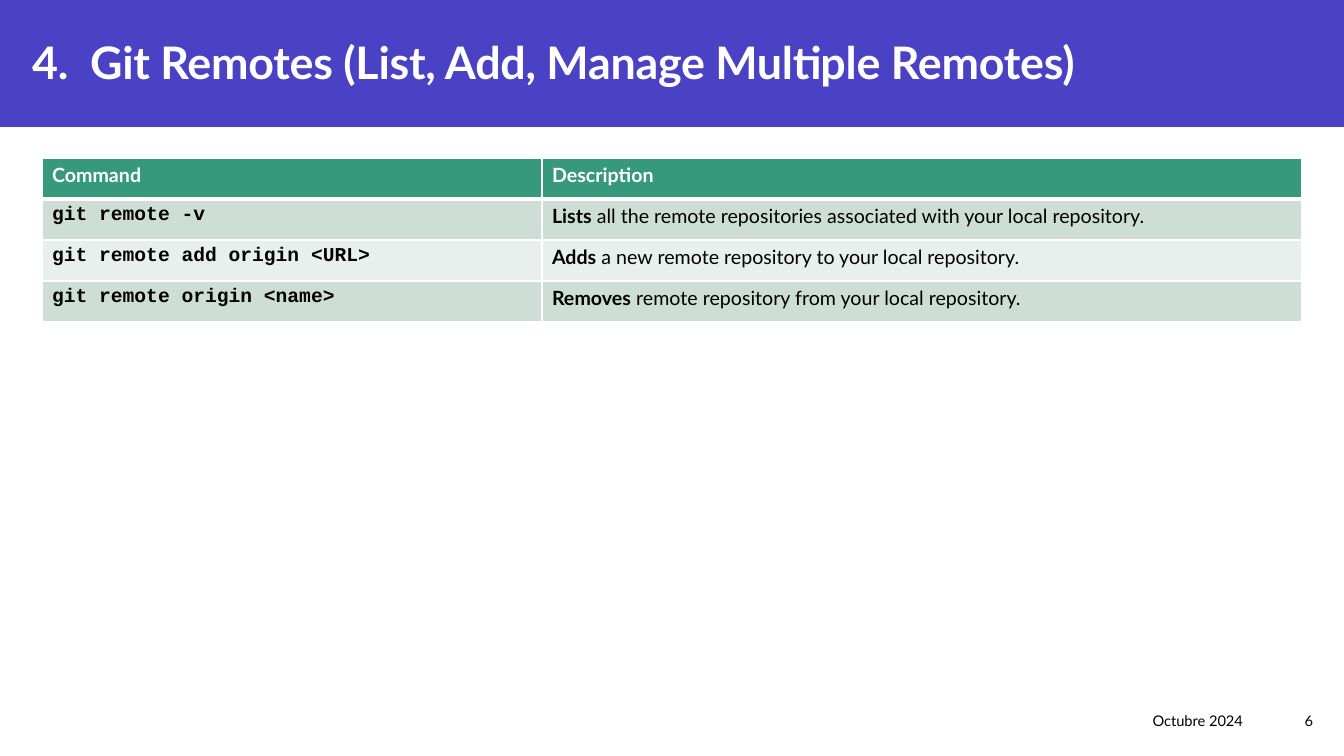
"""Build the Git remotes slide: title band, command table and footer."""
import lxml.etree
import pptx
import pptx.dml.color
import pptx.enum.shapes
import pptx.enum.text
import pptx.oxml.ns
import pptx.util

WHITE, BLACK, INDIGO = "FFFFFF", "000000", "4A41C5"
GREEN, SAGE, MIST = "37997B", "CEDED7", "E8EFEC"
qn = pptx.oxml.ns.qn
colour = pptx.dml.color.RGBColor.from_string
align = pptx.enum.text.PP_ALIGN
anchor = pptx.enum.text.MSO_ANCHOR


def px(*lengths):
    return [round(length * 914400 / 100.8) for length in lengths]


def add_run(paragraph, text, ink, size, bold=False, name="Lato"):
    run = paragraph.add_run()
    run.text = text
    run.font.color.rgb = colour(ink)
    font_format = {"size": pptx.util.Pt(size), "bold": bold, "name": name}
    for attribute, value in font_format.items():
        setattr(run.font, attribute, value)


presentation = pptx.Presentation()
presentation.slide_width, presentation.slide_height = px(1344, 756)
slide = presentation.slides.add_slide(presentation.slide_layouts[5])

title = slide.shapes.title
title.left, title.top, title.width, title.height = px(22, 29, 1222, 66)
title_format = {
    "word_wrap": True,
    "auto_size": pptx.enum.text.MSO_AUTO_SIZE.NONE,
    "vertical_anchor": anchor.MIDDLE,
}
for attribute, value in title_format.items():
    setattr(title.text_frame, attribute, value)
heading = title.text_frame.paragraphs[0]
heading.alignment = align.LEFT
add_run(heading, "4.\tGit Remotes (List, Add, Manage Multiple Remotes)", WHITE, 32, True)
for properties in title.element.iter(qn("a:rPr")):
    properties.set("spc", "-20")
tab_list = lxml.etree.SubElement(heading._p.get_or_add_pPr(), qn("a:tabLst"))
lxml.etree.SubElement(tab_list, qn("a:tab"), pos=str(px(58)[0]), algn="l")

band = slide.shapes.add_shape(pptx.enum.shapes.MSO_SHAPE.RECTANGLE, *px(0, 0, 1344, 127))
band.shadow.inherit = False
band.fill.solid()
band.fill.fore_color.rgb = colour(INDIGO)
band.line.fill.background()
title.element.addprevious(band.element)

rows = [
    ("git remote -v", "Lists", " all the remote repositories associated with your local repository."),
    ("git remote add origin <URL>", "Adds", " a new remote repository to your local repository."),
    ("git remote origin <name>", "Removes", " remote repository from your local repository."),
]
table = slide.shapes.add_table(len(rows) + 1, 2, *px(42, 158, 1260, 164)).table
for column, width in zip(table.columns, px(500, 760)):
    column.width = width
for row in table.rows:
    row.height = px(41)[0]

for column_index, label in enumerate(["Command", "Description"]):
    add_run(table.cell(0, column_index).text_frame.paragraphs[0], label, WHITE, 14, True)
for row_index, (command, verb, detail) in enumerate(rows, 1):
    add_run(table.cell(row_index, 0).text_frame.paragraphs[0], command, BLACK, 14, True, "Courier New")
    description = table.cell(row_index, 1).text_frame.paragraphs[0]
    add_run(description, verb, BLACK, 14, True)
    add_run(description, detail, BLACK, 14)

for row_index, fill in enumerate([GREEN, SAGE, MIST, SAGE]):
    for column_index in range(2):
        cell = table.cell(row_index, column_index)
        for edge in "LRTB":
            thick = (row_index, edge) in [(0, "B"), (1, "T")]
            border = lxml.etree.SubElement(
                cell._tc.get_or_add_tcPr(), qn(f"a:ln{edge}"), w=str(pptx.util.Pt(3 if thick else 1))
            )
            border_fill = lxml.etree.SubElement(border, qn("a:solidFill"))
            lxml.etree.SubElement(border_fill, qn("a:srgbClr"), val=WHITE)
        cell.fill.solid()
        cell.fill.fore_color.rgb = colour(fill)

for text, left, width in [("Octubre 2024", 773, 480), ("6", 1253, 70)]:
    footer = slide.shapes.add_textbox(*px(left, 701, width, 40)).text_frame
    footer.word_wrap = True
    footer.vertical_anchor = anchor.MIDDLE
    footer.paragraphs[0].alignment = align.RIGHT
    add_run(footer.paragraphs[0], text, BLACK, 10.5)

presentation.save("out.pptx")
